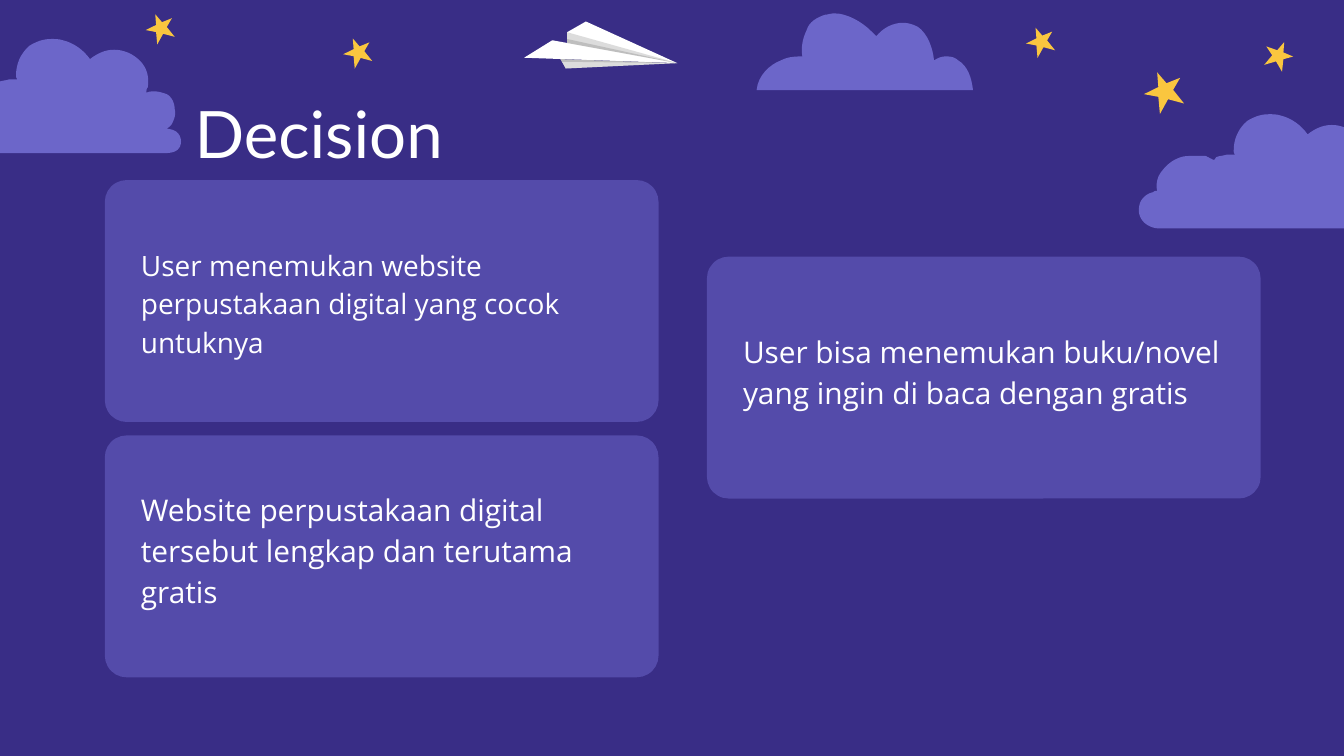
from lxml import etree
from pptx import Presentation
from pptx.dml.color import RGBColor
from pptx.enum.shapes import MSO_SHAPE
from pptx.enum.text import MSO_ANCHOR
from pptx.oxml.ns import qn
from pptx.util import Inches, Pt

ROUND = MSO_SHAPE.ROUNDED_RECTANGLE
TOP = MSO_ANCHOR.TOP

COLORS = {
    "night": "392D86",
    "cloud": "6C66C9",
    "star": "FAC63F",
    "white": "FFFFFF",
    "shade": "191919",
}

TITLE = ("Decision", 1.35, 0.59, 7.86, 0.63)
CARDS = [
    ("User menemukan website perpustakaan digital yang cocok untuknya", 15, 0.78, 1.34, 0.37),
    ("Website perpustakaan digital tersebut lengkap dan terutama gratis", 16, 0.78, 3.24, 0.28),
    ("User bisa menemukan buku/novel yang ingin di baca dengan gratis", 16, 5.26, 1.91, 0.43),
]

PUFF = [
    (0.97, 0), (0.91, 0, 0.86, 0.02, 0.81, 0.05), (0.74, 0.11, 0.71, 0.19, 0.71, 0.27),
    (0.71, 0.28, 0.71, 0.29, 0.72, 0.3), (0.7, 0.3, 0.68, 0.3, 0.66, 0.3),
    (0.63, 0.31, 0.6, 0.31, 0.58, 0.32), (0.57, 0.33, 0.57, 0.34, 0.56, 0.34),
    (0.54, 0.33, 0.52, 0.32, 0.5, 0.31), (0.47, 0.31, 0.44, 0.31, 0.42, 0.31),
    (0.37, 0.31, 0.33, 0.31, 0.29, 0.33), (0.24, 0.35, 0.2, 0.39, 0.17, 0.43),
    (0.14, 0.47, 0.13, 0.52, 0.14, 0.57), (0.13, 0.57, 0.12, 0.57, 0.11, 0.58),
    (0.06, 0.59, 0.02, 0.63, 0.01, 0.67), (0, 0.71, 0, 0.75, 0.03, 0.79),
    (0.06, 0.83, 0.11, 0.85, 0.16, 0.85), (1.8, 0.85),
    (1.87, 0.85, 1.91, 0.84, 1.93, 0.8), (1.95, 0.75, 1.93, 0.68, 1.85, 0.67),
    (1.83, 0.67), (1.84, 0.66, 1.86, 0.65, 1.87, 0.63),
    (1.89, 0.59, 1.9, 0.56, 1.89, 0.52), (1.89, 0.48, 1.87, 0.43, 1.83, 0.41),
    (1.8, 0.4, 1.77, 0.39, 1.74, 0.39), (1.72, 0.39, 1.7, 0.39, 1.68, 0.4),
    (1.68, 0.38, 1.68, 0.37, 1.69, 0.36), (1.7, 0.29, 1.69, 0.22, 1.63, 0.16),
    (1.58, 0.11, 1.51, 0.08, 1.44, 0.08), (1.37, 0.08, 1.31, 0.11, 1.26, 0.15),
    (1.21, 0.08, 1.14, 0.03, 1.06, 0.01), (1.03, 0, 1, 0, 0.97, 0),
]
DOME = [
    (0.58, 0), (0.55, 0, 0.53, 0.01, 0.51, 0.01), (0.45, 0.03, 0.39, 0.06, 0.37, 0.13),
    (0.34, 0.19, 0.33, 0.26, 0.34, 0.32), (0.26, 0.32, 0.22, 0.33, 0.18, 0.35),
    (0.1, 0.38, 0.01, 0.46, 0, 0.57), (1.61, 0.57), (1.6, 0.48, 1.57, 0.39, 1.5, 0.35),
    (1.48, 0.33, 1.45, 0.32, 1.41, 0.32), (1.38, 0.32, 1.35, 0.33, 1.32, 0.35),
    (1.31, 0.25, 1.27, 0.15, 1.2, 0.1), (1.16, 0.08, 1.12, 0.07, 1.09, 0.07),
    (1.01, 0.07, 0.94, 0.11, 0.89, 0.17), (0.88, 0.16, 0.86, 0.14, 0.85, 0.13),
    (0.78, 0.06, 0.67, 0, 0.58, 0),
]
CLOUDS = [(PUFF, -0.59, 0.29), (DOME, 5.63, 0.1), (PUFF, 8.47, 0.85)]

STAR = [(0.31, 0.03), (0.34, 0.41), (-0.03, 0.59), (0.34, 0.66), (0.38, 1.1),
        (0.59, 0.72), (1, 0.83), (0.72, 0.48), (0.9, 0.17), (0.55, 0.31)]
STARS = [(1.09, 0.1, 0.21, 0), (2.56, 0.28, 0.21, 0), (7.64, 0.2, 0.21, 0),
         (9.4, 0.3, 0.21, 45), (8.52, 0.53, 0.29, 0)]

NOSE = (5.04, 0.47)
KEEL = [NOSE, (4.21, 0.51), (4.17, 0.44)]
PLANE = [
    (KEEL, "white", 100),
    ([NOSE, (3.9, 0.43), (4.11, 0.3), (4.22, 0.32), (4.22, 0.24), (4.36, 0.16)], "white", 100),
    ([NOSE, (4.22, 0.32), (4.22, 0.24)], "shade", 15),
    ([NOSE, (4.22, 0.32), (4.22, 0.29)], "shade", 15),
    (KEEL, "shade", 15),
    ([NOSE, (4.18, 0.46), (4.17, 0.44)], "shade", 15),
]

prs = Presentation()
prs.slide_width = Inches(10)
prs.slide_height = prs.slide_width * 9 // 16
slide = prs.slides.add_slide(prs.slide_layouts[6])
shapes = slide.shapes
back = slide.background.fill
back.solid()
back.fore_color.rgb = RGBColor.from_string(COLORS["night"])


def paint(shape, color, alpha=100):
    shape.shadow.inherit = False
    shape.line.fill.background()
    shape.fill.solid()
    shape.fill.fore_color.rgb = RGBColor.from_string(COLORS[color])
    if alpha < 100:
        tint = shape._element.spPr.find(qn("a:solidFill"))[0]
        etree.SubElement(tint, qn("a:alpha")).set("val", str(alpha * 1000))


def draw(points, color, left=0, top=0, size=1, alpha=100):
    spots = [(Inches(left + x * size), Inches(top + y * size)) for x, y in points]
    form = shapes.build_freeform(*spots[0])
    form.add_line_segments(spots[1:], close=True)
    shape = form.convert_to_shape()
    paint(shape, color, alpha)
    return shape


def trace(parts, steps=8):
    points = [parts[0]]
    for part in parts[1:]:
        if len(part) == 2:
            points.append(part)
            continue
        a, b, c, d = points[-1], part[:2], part[2:4], part[4:]
        for t in (i / steps for i in range(1, steps + 1)):
            u = 1 - t
            points.append(tuple(
                u**3 * a[k] + 3 * u * u * t * b[k] + 3 * u * t * t * c[k] + t**3 * d[k]
                for k in (0, 1)))
    return points


def write(text, left, top, width, height, size, font, space=None):
    box = shapes.add_textbox(Inches(left), Inches(top), Inches(width), Inches(height))
    frame = box.text_frame
    frame.word_wrap = True
    frame.vertical_anchor = TOP
    frame.margin_left = frame.margin_right = Inches(0.1)
    frame.margin_top = frame.margin_bottom = Inches(0.1)
    frame.text = text
    para = frame.paragraphs[0]
    para.line_spacing = space
    face = para.runs[0].font
    face.size, face.name = Pt(size), font
    face.color.rgb = RGBColor.from_string(COLORS["white"])


for parts, left, top in CLOUDS:
    draw(trace(parts), "cloud", left, top)
for points, color, alpha in PLANE:
    draw(points, color, alpha=alpha)
for left, top, size, turn in STARS:
    draw(STAR, "star", left, top, size).rotation = turn

write(*TITLE, 35, "Lato")
for text, size, left, top, drop in CARDS:
    card = shapes.add_shape(ROUND, Inches(left), Inches(top), Inches(4.12), Inches(1.8))
    card.adjustments[0] = 0.09
    paint(card, "cloud", 54)
    write(text, left + 0.17, top + drop, 3.79, 1.23, size, "Open Sans", 1.15)

prs.save("out.pptx")
